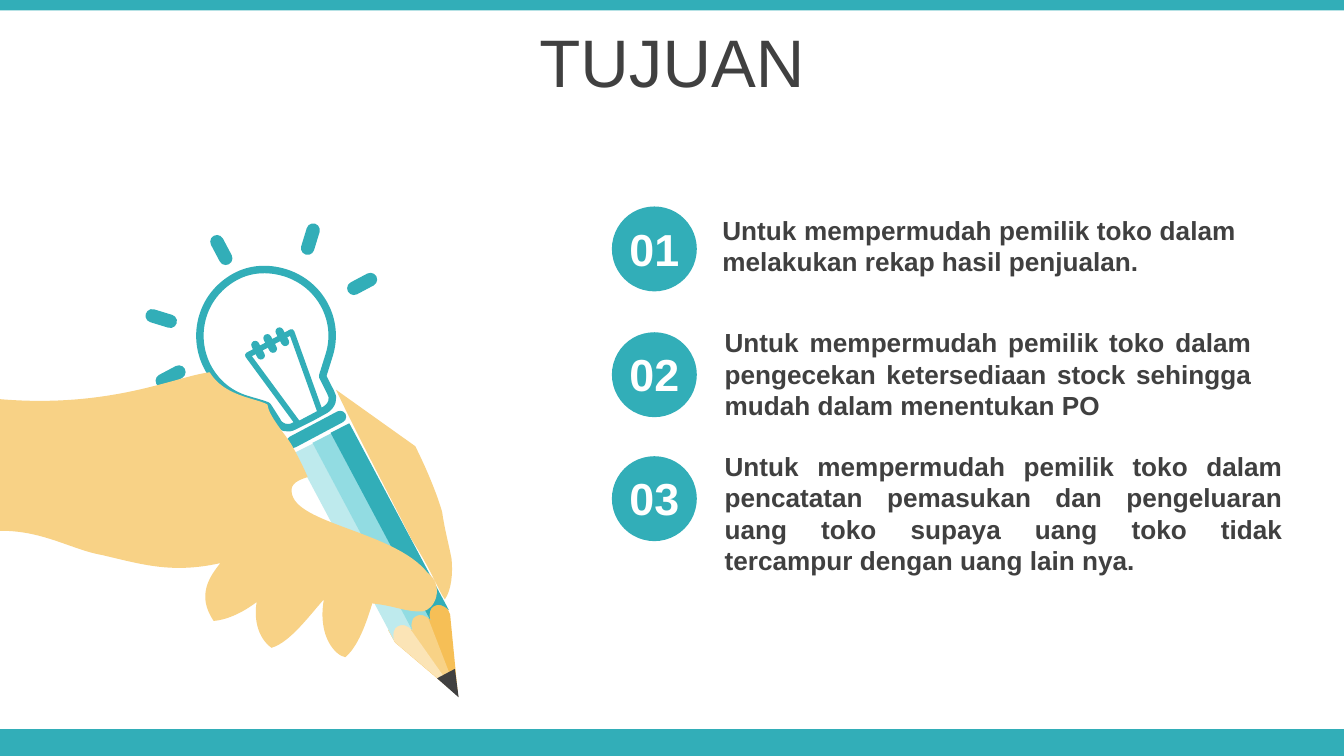
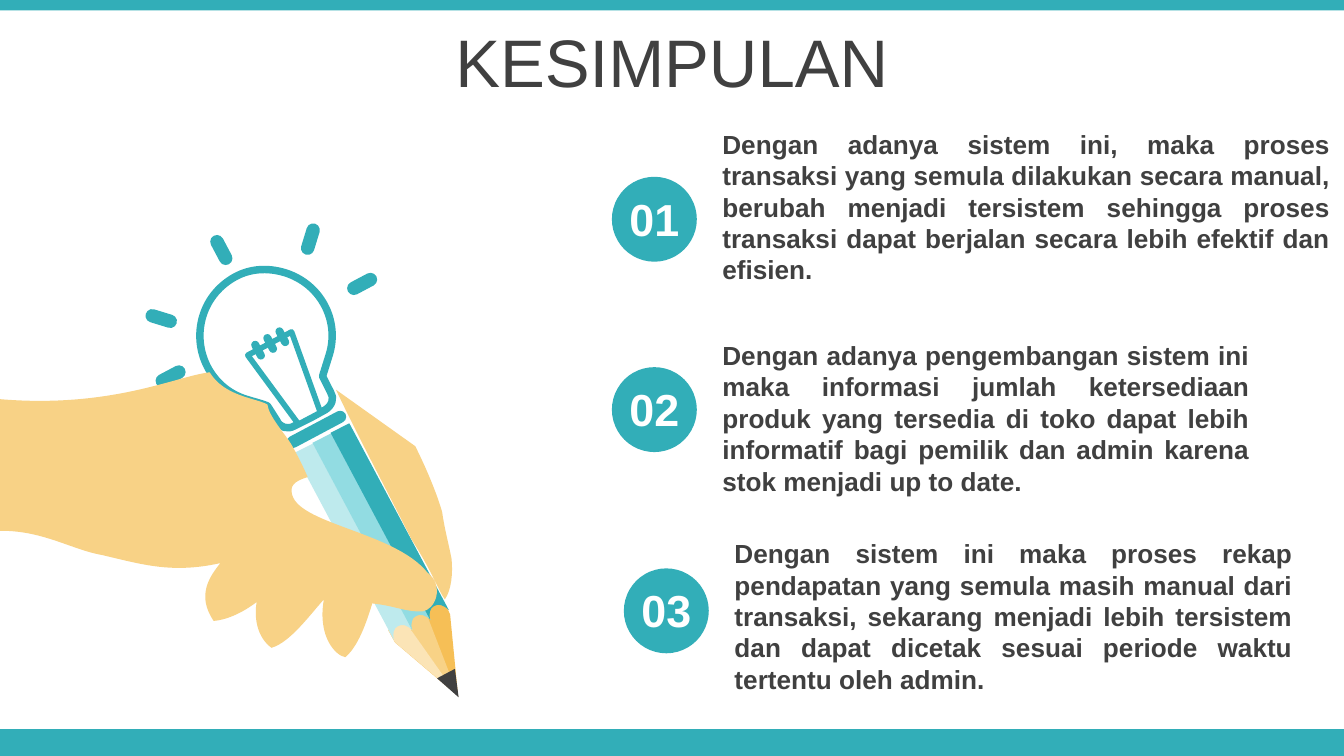
from dataclasses import dataclass
from math import cos, radians, sin

from pptx import Presentation
from pptx.dml.color import RGBColor
from pptx.enum.shapes import MSO_SHAPE as SHAPE
from pptx.enum.text import MSO_ANCHOR as ANCHOR, MSO_AUTO_SIZE as AUTO, PP_ALIGN as ALIGN
from pptx.oxml.ns import qn
from pptx.oxml.xmlchemy import OxmlElement
from pptx.util import Pt


@dataclass(frozen=True)
class Theme:
    """Colours, type sizes and the drawing grid."""
    teal: str = "32AEB8"
    mid_teal: str = "92DCE2"
    pale_teal: str = "BEEAED"
    skin: str = "F8D286"
    amber: str = "F6BF56"
    cream: str = "FBE4B6"
    dark: str = "404040"
    white: str = "FFFFFF"
    font: str = "Arial"
    title: int = 36
    number: int = 24
    body: int = 14
    grid: float = 0.72


T = Theme()
WIDTH, HEIGHT = 720, 405
TILT, BULB_TILT = 332, 107

WOOD = [
    (T.amber, [(289, 469), (330, 447), (335, 457), (341, 518), (294, 478)]),
    (T.skin, [(302, 461), (316, 454), (319, 461), (341, 518), (307, 471)]),
    (T.cream, [(289, 469), (302, 462), (304, 464, 305, 466, 306, 469),
               (340, 517), (294, 478)]),
]
STRIP = [(219, 337), (233, 330), (307, 469),
         (303, 465, 299, 464, 296, 466), (293, 467, 292, 472, 293, 476)]
STRIP_STEP = (13.5, -7.5)
BULB = [
    (175, 206), (186, 200, 199, 199, 212, 203), (238, 211, 253, 238, 245, 264),
    (240, 280), (246, 292), (249, 296, 247, 302, 242, 305), (231, 311),
    (219, 317), (214, 320, 208, 318, 206, 313), (199, 302),
    (194, 300, 189, 299, 183, 297), (157, 289, 143, 261, 151, 235),
    (155, 222, 164, 212, 175, 206),
]
FINGER = [
    (250, 290), (309, 332), (317, 348, 325, 367, 329, 381),
    (331, 395, 334, 405, 336, 416), (337, 426, 336, 439, 331, 446),
    (326, 439, 322, 426, 306, 401), (293, 375, 264, 320, 250, 290),
]
PALM = [
    (156, 277), (167, 295, 190, 296, 199, 301), (200, 310, 213, 324, 217, 331),
    (222, 340, 225, 346, 229, 355), (222, 357, 216, 360, 217, 366),
    (219, 390, 293, 395, 318, 426), (331, 436, 324, 454, 314, 455),
    (300, 455, 295, 451, 277, 449), (271, 469, 265, 482, 257, 489),
    (250, 488, 236, 474, 241, 446), (231, 457, 216, 478, 202, 482),
    (191, 474, 189, 459, 191, 448), (183, 454, 171, 461, 159, 462),
    (146, 443, 156, 429, 164, 419), (128, 427, 106, 420, 76, 413),
    (53, 409, 31, 394, -2, 395), (0, 297), (83, 304, 131, 280, 156, 277),
]
RAYS = [(162.7, 119.5, 17), (82.8, 162, 287), (115, 125.3, TILT),
        (190.4, 143.5, 62), (87.8, 193, 242)]

SLIDES = [
    ("TUJUAN", [
        ((327.8, 110.6), (379.9, 111.2, 289.4, 41),
         "Untuk mempermudah pemilik toko dalam melakukan rekap hasil penjualan."),
        ((327.8, 178), (381.1, 171.4, 296.6, 58.3),
         "Untuk mempermudah pemilik toko dalam pengecekan ketersediaan stock "
         "sehingga mudah dalam menentukan PO"),
        ((327.8, 244.4), (381.1, 237.7, 313.2, 92.2),
         "Untuk mempermudah pemilik toko dalam pencatatan pemasukan dan "
         "pengeluaran uang toko supaya uang toko tidak tercampur dengan uang "
         "lain nya."),
    ]),
    ("KESIMPULAN", [
        ((327.8, 94.7), (379.9, 65.1, 339.8, 92.2),
         "Dengan adanya sistem ini, maka proses transaksi yang semula dilakukan "
         "secara manual, berubah menjadi tersistem sehingga proses transaksi "
         "dapat berjalan secara lebih efektif dan efisien."),
        ((327.8, 196.7), (379.9, 178.3, 296.6, 92.2),
         "Dengan adanya pengembangan sistem ini maka informasi jumlah "
         "ketersediaan produk yang tersedia di toko dapat lebih informatif bagi "
         "pemilik dan admin karena stok menjadi up to date."),
        ((334.2, 304.5), (386.4, 284.5, 313.2, 92.2),
         "Dengan sistem ini maka proses rekap pendapatan yang semula masih "
         "manual dari transaksi, sekarang menjadi lebih tersistem dan dapat "
         "dicetak sesuai periode waktu tertentu oleh admin."),
    ]),
]


def rgb(color):
    """Turn a hex string into a colour."""
    return RGBColor.from_string(color)


def shift(outline, dx, dy):
    """Move every point of an outline."""
    return [tuple(v + (dy if i % 2 else dx) for i, v in enumerate(seg))
            for seg in outline]


def turn(point, pivot, degrees):
    """Rotate a point clockwise about a pivot."""
    a = radians(degrees)
    dx, dy = point[0] - pivot[0], point[1] - pivot[1]
    return (pivot[0] + dx * cos(a) - dy * sin(a), pivot[1] + dx * sin(a) + dy * cos(a))


def vertices(outline):
    """List all points of an outline, curve handles included, in EMU."""
    return [(Pt(seg[i] * T.grid), Pt(seg[i + 1] * T.grid))
            for seg in outline for i in range(0, len(seg), 2)]


def bend(sp, outlines):
    """Turn the line triples that stand for curves into Bezier segments."""
    nodes = iter(list(next(sp.element.iter(qn("a:path")))))
    for outline in outlines:
        next(nodes)
        for seg in outline[1:]:
            lines = [next(nodes) for _ in range(len(seg) // 2)]
            if len(lines) == 3:
                curve = OxmlElement("a:cubicBezTo")
                lines[0].addprevious(curve)
                for line in lines:
                    curve.append(line[0])
                    line.getparent().remove(line)
        next(nodes)


class Deck:
    """Holds the style and the slide being drawn."""

    def __init__(self, theme):
        """Start an empty presentation."""
        self.theme = theme
        self.prs = Presentation()
        self.prs.slide_width, self.prs.slide_height = Pt(WIDTH), Pt(HEIGHT)

    def new_slide(self, title):
        """Add a slide with its bands and title."""
        t = self.theme
        self.s = self.prs.slides.add_slide(self.prs.slide_layouts[6])
        self.shapes = self.s.shapes
        self.shape(SHAPE.RECTANGLE, (0, 390.6, WIDTH, 14.4), t.teal)
        self.shape(SHAPE.RECTANGLE, (0, 0, WIDTH, 5.6), t.teal)
        tf = self.text(title, (0, 9.7, WIDTH, 45.4), t.title, t.dark, ALIGN.CENTER, False)
        tf.auto_size = AUTO.NONE
        tf.vertical_anchor = ANCHOR.MIDDLE
        tf.paragraphs[0].space_before = Pt(7.2)

    def paint(self, sp, fill, line=None, weight=0):
        """Set the fill and line of a shape."""
        sp.shadow.inherit = False
        sp.fill.solid()
        sp.fill.fore_color.rgb = rgb(fill)
        if line:
            sp.line.color.rgb = rgb(line)
            sp.line.width = Pt(weight)
        else:
            sp.line.fill.background()

    def shape(self, kind, box, fill, rotation=0, line=None, weight=0):
        """Draw a preset shape."""
        sp = self.shapes.add_shape(kind, *map(Pt, box))
        sp.rotation = rotation
        self.paint(sp, fill, line, weight)
        return sp

    def pill(self, box, rotation):
        """Draw a teal bar with round ends."""
        sp = self.shape(SHAPE.ROUNDED_RECTANGLE, box, self.theme.teal, rotation)
        sp.adjustments[0] = 0.5

    def outline(self, outlines, fill, rotation=0, line=None, weight=0):
        """Draw closed outlines as one freeform in a rotated frame."""
        pivot = vertices(outlines[0])[0]
        builder = None
        for outline in outlines:
            first, *rest = [turn(p, pivot, -rotation) for p in vertices(outline)]
            if builder is None:
                builder = self.shapes.build_freeform(*first)
            else:
                builder.move_to(*first)
            builder.add_line_segments(rest, close=True)
        sp = builder.convert_to_shape()
        bend(sp, outlines)
        x, y = turn((sp.left + sp.width / 2, sp.top + sp.height / 2), pivot, rotation)
        sp.left, sp.top = round(x - sp.width / 2), round(y - sp.height / 2)
        sp.rotation = rotation
        self.paint(sp, fill, line, weight)

    def text(self, text, box, size, color, align, bold=True):
        """Place a text box with one paragraph."""
        tf = self.shapes.add_textbox(*map(Pt, box)).text_frame
        tf.word_wrap = True
        tf.auto_size = AUTO.SHAPE_TO_FIT_TEXT
        tf.text = text
        p = tf.paragraphs[0]
        p.alignment = align
        for r in p.runs:
            r.font.name, r.font.size, r.font.bold = self.theme.font, Pt(size), bold
            r.font.color.rgb = rgb(color)
        return tf

    def pencil_and_hand(self):
        """Draw the hand that holds the light bulb pencil."""
        t = self.theme
        self.shapes = self.s.shapes.add_group_shape().shapes
        for color, wood in WOOD:
            self.outline([wood], color, TILT)
        for i, color in enumerate((t.pale_teal, t.mid_teal, t.teal)):
            self.outline([shift(STRIP, *(i * d for d in STRIP_STEP))], color, TILT)
        self.shape(SHAPE.ISOSCELES_TRIANGLE, (236.9, 360, 10.8, 14.4), t.dark, TILT - 180)
        self.outline([BULB], t.white, BULB_TILT, t.teal, 4)
        self.shape(SHAPE.TRAPEZOID, (141.8, 181.4, 26.6, 45.4), t.white, TILT - 180, t.teal, 3)
        for x, y, rotation in RAYS:
            self.pill((x, y, 7.2, 17.3), rotation)
        self.pill((151.9, 226.8, 35.3, 6.5), TILT)
        for i in range(3):
            self.pill((136.1 + 6.5 * i, 182.2 - 3.6 * i, 4.3, 10.8), TILT)
        self.shapes = self.s.shapes
        self.outline([FINGER, PALM], t.skin)

    def point(self, number, corner, box, text):
        """Draw a numbered circle and its statement."""
        t = self.theme
        x, y = corner
        self.shape(SHAPE.OVAL, (x, y, 45.5, 45.5), t.teal)
        self.text(text, box, t.body, t.dark, ALIGN.JUSTIFY)
        self.text(f"{number:02}", (x - 2.4, y + 4.4, 50.4, 36), t.number, t.white, ALIGN.CENTER)


def main():
    """Build both slides and save them."""
    deck = Deck(T)
    for title, points in SLIDES:
        deck.new_slide(title)
        deck.pencil_and_hand()
        for number, point in enumerate(points, 1):
            deck.point(number, *point)
    deck.prs.save("out.pptx")


if __name__ == "__main__":
    main()
